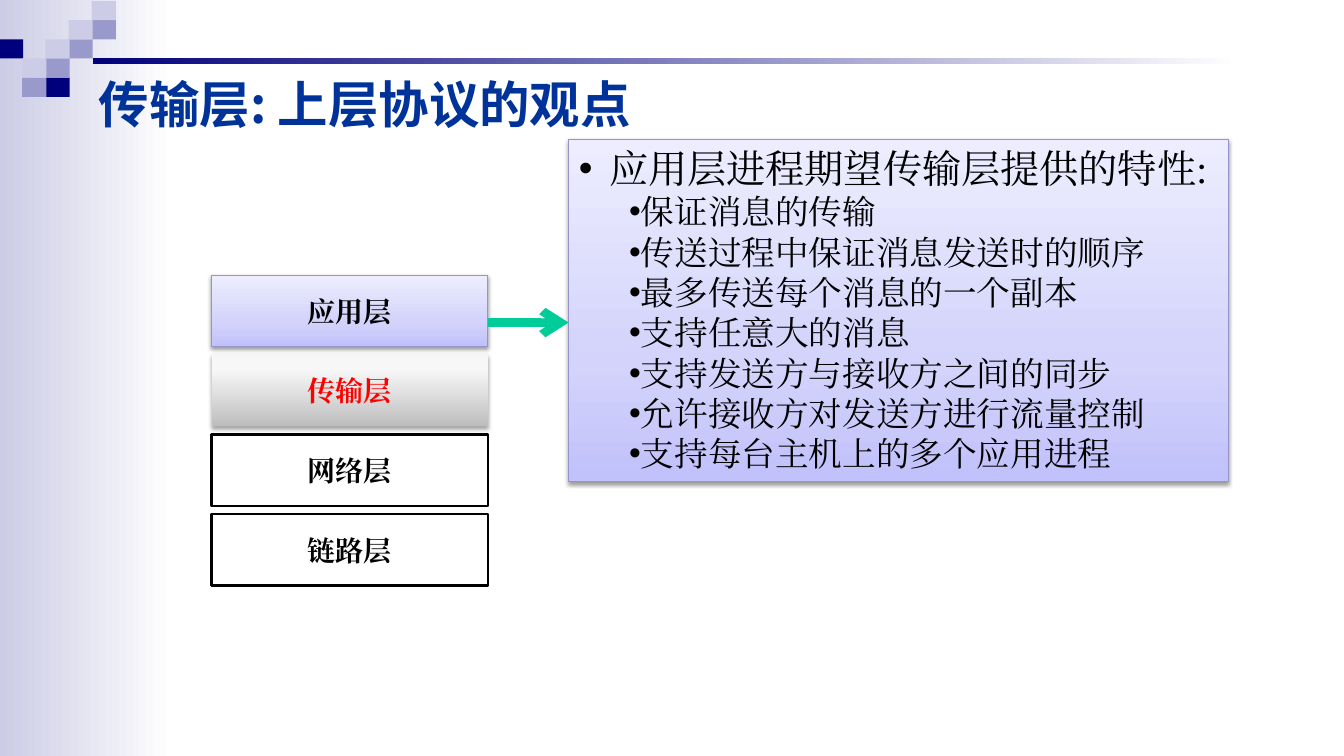
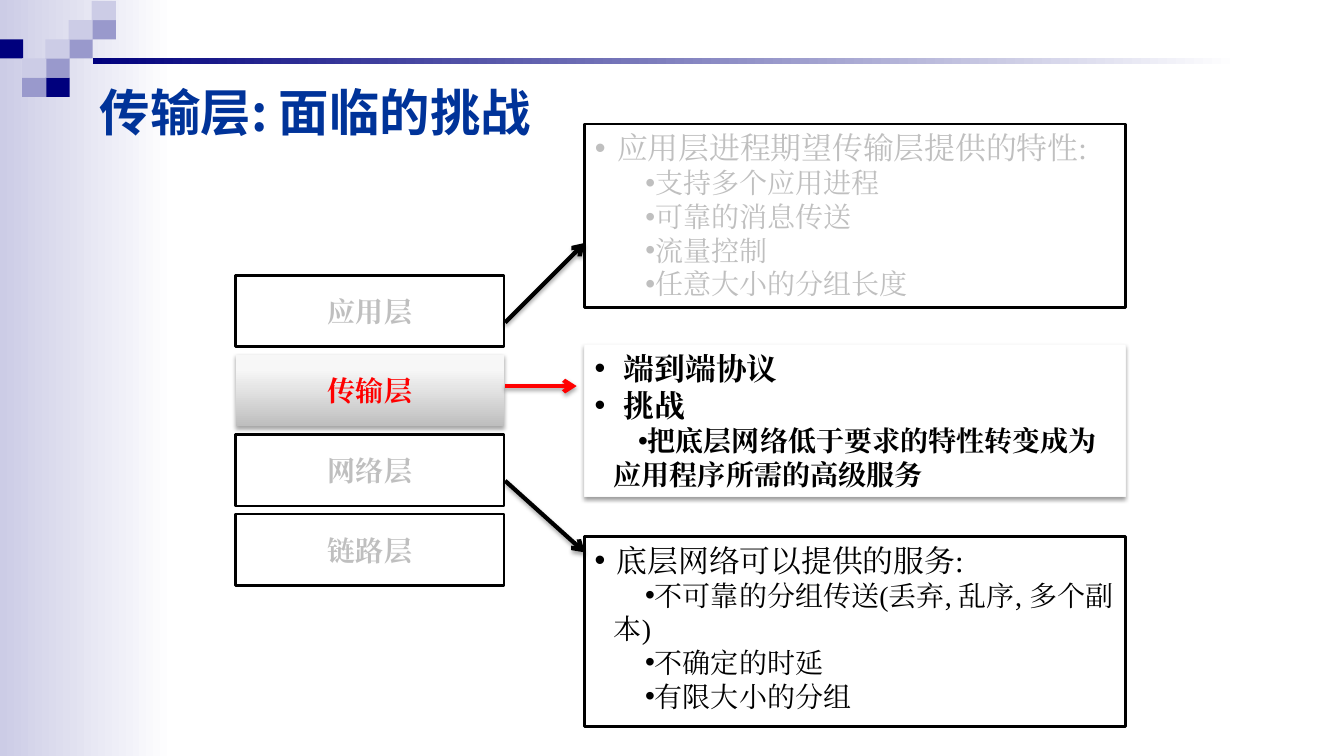
from dataclasses import dataclass

from lxml import etree
from pptx import Presentation
from pptx.dml.color import RGBColor
from pptx.enum import shapes, text
from pptx.oxml.ns import qn
from pptx.util import Inches, Pt


@dataclass(frozen=True)
class Look:
    """Fill (a colour or gradient stops), outline and shadow of a shape."""
    fill: object
    line: str = None
    weight: float = 0.75
    shadow: tuple = None  # opacity %, blur pt, distance pt


@dataclass(frozen=True)
class Theme:
    latin: str = "Times New Roman"
    heading: str = "Noto Sans CJK SC"
    navy: str = "00007D"
    mid: str = "9999CC"
    pale: str = "CCCCE6"
    title: str = "003399"
    black: str = "000000"
    white: str = "FFFFFF"
    muted: str = "BFBFBF"
    red: str = "FF0000"
    green: str = "00CC99"
    title_size: int = 36
    layer_size: int = 20
    large: tuple = (28, 24)
    small: tuple = (22, 20)
    line_height: float = 1.2
    line_shadow: tuple = (35, 3.1, 1.8)


THEME = Theme()
SOFT_SHADOW = (38, 3.1, 1.6)
PLAIN = Look(THEME.white, THEME.black, 2)
LILAC = Look(((0, "C1C1FB"), (35, "D3D3FB"), (100, "EDEDFF")),
             "9494C9", shadow=SOFT_SHADOW)
SILVER = Look(((0, "BEBEBE"), (80, "F7F7F7"), (100, "F8F8F8")),
              shadow=THEME.line_shadow)
RAISED = Look(THEME.white, "F9F9F9", shadow=SOFT_SHADOW)

LAYERS = ("应用层", "传输层", "网络层", "链路层")


def rgb(value):
    return RGBColor.from_string(value)


def set_shadow(shape, shadow):
    """Replace the inherited shadow; call after fill and line are set."""
    effects = etree.SubElement(shape.element.spPr, qn("a:effectLst"))
    if shadow:
        opacity, blur, distance = shadow
        outer = etree.SubElement(
            effects, qn("a:outerShdw"), blurRad=str(Pt(blur)),
            dist=str(Pt(distance)), dir="5400000", rotWithShape="0")
        tint = etree.SubElement(outer, qn("a:srgbClr"), val=THEME.black)
        etree.SubElement(tint, qn("a:alpha"), val=str(opacity * 1000))


def set_gradient(shape, stops, angle):
    shape.fill.gradient()
    shape.fill.gradient_angle = angle
    stop_list = shape.element.spPr.find(".//" + qn("a:gsLst"))
    for old in list(stop_list):
        stop_list.remove(old)
    for position, colour in stops:
        stop = etree.SubElement(stop_list, qn("a:gs"), pos=str(position * 1000))
        etree.SubElement(stop, qn("a:srgbClr"), val=colour)


def place(shape, left, top, width, height):
    shape.left, shape.top = Inches(left), Inches(top)
    shape.width, shape.height = Inches(width), Inches(height)


def set_bullet(para, margin, indent):
    props = para._p.get_or_add_pPr()
    props.set("marL", str(Inches(margin)))
    props.set("indent", str(Inches(indent)))
    etree.SubElement(props, qn("a:buFont"), typeface="Arial")
    etree.SubElement(props, qn("a:buChar"), char="•")


class Deck:
    def __init__(self, theme):
        self.theme = theme
        self.deck = Presentation()
        self.deck.slide_width, self.deck.slide_height = Inches(13.33), Inches(7.5)
        self.layout = self.deck.slide_layouts[1]
        self.page = self.body = None

    def new_page(self, title, left, top):
        first = self.page is None
        self.page = self.deck.slides.add_slide(self.layout)
        if first:
            self.decorate_layout()
        box = self.page.shapes.title
        self.body = self.page.placeholders[1]
        place(box, left, top, 9.13, 0.71)
        frame = box.text_frame
        frame.text = title
        frame.word_wrap = True
        frame.auto_size = text.MSO_AUTO_SIZE.NONE
        frame.vertical_anchor = text.MSO_ANCHOR.MIDDLE
        para = frame.paragraphs[0]
        para.alignment = text.PP_ALIGN.LEFT
        self.format(para, self.theme.title_size, self.theme.title, True,
                    self.theme.heading)

    def format(self, para, size, colour, bold=False, face=None):
        for span in para.runs:
            font = span.font
            font.size, font.bold = Pt(size), bold
            font.color.rgb = rgb(colour)
            font.name = face or self.theme.latin
            etree.SubElement(span._r.get_or_add_rPr(), qn("a:ea"),
                             typeface=font.name)

    def dress(self, shape, look, angle=90):
        if isinstance(look.fill, str):
            shape.fill.solid()
            shape.fill.fore_color.rgb = rgb(look.fill)
        else:
            set_gradient(shape, look.fill, angle)
        if look.line:
            shape.line.color.rgb = rgb(look.line)
            shape.line.width = Pt(look.weight)
        else:
            shape.line.fill.background()
        set_shadow(shape, look.shadow)

    def box(self, area, look, angle=90):
        shape = self.page.shapes.add_shape(
            shapes.MSO_SHAPE.RECTANGLE, *map(Inches, area))
        self.dress(shape, look, angle)
        return shape

    def decorate_layout(self):
        """Draw side band, mosaic and rule, then move them to the layout."""
        theme = self.theme
        parts = [self.box((0, 0, 1.73, 7.5),
                          Look(((0, theme.pale), (100, theme.white))), 0)]
        mosaic = {
            theme.navy: ((0, 2), (2, 4)),
            theme.mid: ((1, 4), (2, 3), (3, 2), (4, 1)),
            theme.pale: ((1, 3), (2, 2), (3, 1), (4, 0)),
        }
        for colour, cells in mosaic.items():
            for column, row in cells:
                area = (-0.01 + 0.23 * column, 0.01 + 0.19 * row, 0.24, 0.19)
                parts.append(self.box(area, Look(colour)))
        parts.append(self.box((0.92, 0.58, 11.37, 0.06),
                              Look(((0, theme.navy), (100, theme.white))), 0))
        for number, part in enumerate(parts, 100):
            part.element.nvSpPr.cNvPr.set("id", str(number))
            self.layout.shapes.element.append(part.element)

    def layers(self, left, width, styles):
        """Stack the protocol layers; styles gives a look and text colour each."""
        for row, (name, (look, colour)) in enumerate(zip(LAYERS, styles)):
            box = self.box((left, 2.73 + 0.79 * row, width, 0.71), look)
            frame = box.text_frame
            frame.text = name
            frame.vertical_anchor = text.MSO_ANCHOR.MIDDLE
            para = frame.paragraphs[0]
            para.alignment = text.PP_ALIGN.CENTER
            self.format(para, self.theme.layer_size, colour, True)

    def panel(self, area, look, items, sizes, colour, bold=False,
              hang=0.22, indent=0.31):
        """Fill the body placeholder, or a new box once that is taken.

        Items are (level, wording) pairs.
        """
        if self.body is not None:
            box, self.body = self.body, None
            place(box, *area)
            self.dress(box, look)
        else:
            box = self.box(area, look)
        frame = box.text_frame
        frame.word_wrap = True
        frame.auto_size = text.MSO_AUTO_SIZE.NONE
        frame.vertical_anchor = text.MSO_ANCHOR.TOP
        for index, (level, wording) in enumerate(items):
            para = frame.add_paragraph() if index else frame.paragraphs[0]
            para.text = wording
            para.level = level
            para.alignment = text.PP_ALIGN.LEFT
            para.space_before = para.space_after = Pt(0)
            para.line_spacing = Pt(sizes[level] * self.theme.line_height)
            if level:
                set_bullet(para, 0.19, indent)
            else:
                set_bullet(para, hang, -hang)
            self.format(para, sizes[level], colour, bold)

    def arrow(self, start, end, colour, weight=3, shadow=None):
        connector = self.page.shapes.add_connector(
            shapes.MSO_CONNECTOR.STRAIGHT, *map(Inches, start + end))
        connector.line.color.rgb = rgb(colour)
        connector.line.width = Pt(weight)
        etree.SubElement(connector.element.spPr.find(qn("a:ln")),
                         qn("a:tailEnd"), type="arrow")
        set_shadow(connector, shadow)


def expectations_page(deck):
    theme = deck.theme
    deck.new_page("传输层: 上层协议的观点", 0.88, 0.67)
    plain = (PLAIN, theme.black)
    deck.layers(2.1, 2.74, ((LILAC, theme.black), (SILVER, theme.red), plain, plain))
    deck.panel((5.64, 1.38, 6.54, 3.4), LILAC, (
        (0, "应用层进程期望传输层提供的特性:"),
        (1, "保证消息的传输"),
        (1, "传送过程中保证消息发送时的顺序"),
        (1, "最多传送每个消息的一个副本"),
        (1, "支持任意大的消息"),
        (1, "支持发送方与接收方之间的同步"),
        (1, "允许接收方对发送方进行流量控制"),
        (1, "支持每台主机上的多个应用进程"),
    ), theme.large, theme.black, hang=0.3)
    deck.arrow((4.84, 3.2), (5.64, 3.2), theme.green, 6)


def challenges_page(deck):
    theme = deck.theme
    deck.new_page("传输层: 面临的挑战", 0.89, 0.75)
    faded = (PLAIN, theme.muted)
    deck.layers(2.34, 2.66, (faded, (SILVER, theme.red), faded, faded))
    deck.panel((5.8, 1.23, 5.36, 1.82), PLAIN, (
        (0, "应用层进程期望传输层提供的特性:"),
        (1, "支持多个应用进程"),
        (1, "可靠的消息传送"),
        (1, "流量控制"),
        (1, "任意大小的分组长度"),
    ), theme.small, theme.muted)
    deck.panel((5.8, 3.42, 5.36, 1.51), RAISED, (
        (0, "端到端协议"),
        (0, "挑战"),
        (1, "把底层网络低于要求的特性转变成为应用程序所需的高级服务"),
    ), theme.small, theme.black, bold=True, hang=0.29, indent=0.24)
    deck.panel((5.8, 5.32, 5.36, 1.89), PLAIN, (
        (0, "底层网络可以提供的服务:"),
        (1, "不可靠的分组传送(丢弃, 乱序, 多个副本)"),
        (1, "不确定的时延"),
        (1, "有限大小的分组"),
    ), theme.small, theme.black)
    for start, end, colour in (
        ((5.01, 3.2), (5.8, 2.41), theme.black),
        ((5.01, 4.77), (5.8, 5.48), theme.black),
        ((5.01, 3.83), (5.72, 3.83), theme.red),
    ):
        deck.arrow(start, end, colour, shadow=theme.line_shadow)


def main():
    deck = Deck(THEME)
    expectations_page(deck)
    challenges_page(deck)
    deck.deck.save("out.pptx")


if __name__ == "__main__":
    main()
